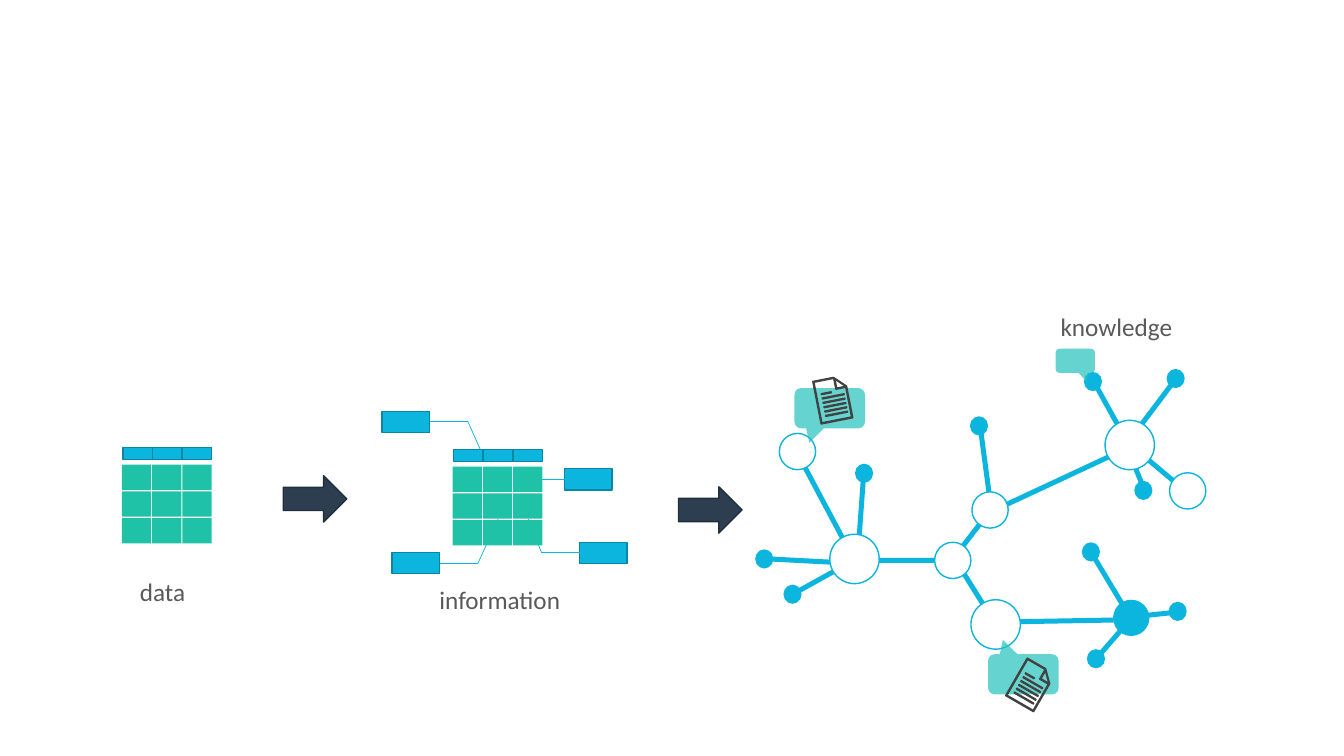
from math import cos, radians, sin

from lxml import etree
from pptx import Presentation
from pptx.dml.color import RGBColor
from pptx.enum.shapes import MSO_CONNECTOR, MSO_SHAPE
from pptx.enum.text import MSO_AUTO_SIZE
from pptx.oxml.ns import qn
from pptx.util import Inches, Pt

BLUE, DARK_BLUE, GREEN, TEAL = "0BB5DD", "0886A3", "1FC2A7", "24C2BD"
NAVY, DARK_NAVY, GREY, DARK_GREY = "2D3E50", "212E3B", "595959", "424242"
WHITE = "FFFFFF"


def paint(shape, fill, line=None):
    """Give a shape a flat fill and a 1 pt outline, or no outline."""
    shape.shadow.inherit = False
    shape.fill.solid()
    shape.fill.fore_color.rgb = RGBColor.from_string(fill)
    if line:
        shape.line.color.rgb = RGBColor.from_string(line)
        shape.line.width = Pt(1)
    else:
        shape.line.fill.background()


def add_painted(shapes, kind, left, top, width, height, fill, line=None, rotation=0):
    shape = shapes.add_shape(kind, Inches(left), Inches(top), Inches(width), Inches(height))
    shape.rotation = rotation
    paint(shape, fill, line)
    return shape


presentation = Presentation()
presentation.slide_width, presentation.slide_height = Inches(13.33), Inches(7.5)
slide = presentation.slides.add_slide(presentation.slide_layouts[6])

# Knowledge network: leaves, links, hubs and speech bubbles
network = slide.shapes.add_group_shape().shapes
add_painted(network, MSO_SHAPE.OVAL, 11.04, 5.95, 0.36, 0.36, BLUE)
leaves = [
    (9.62, 4.13), (10.75, 3.69), (11.57, 3.66), (11.25, 4.77), (10.73, 5.38),
    (11.59, 5.97), (10.78, 6.44), (7.77, 5.8), (7.49, 5.45), (8.48, 4.6),
]
for left, top in leaves:
    add_painted(network, MSO_SHAPE.OVAL, left, top, 0.18, 0.19, BLUE)

links = [  # left, top, length, rotation
    (8.2, 4.48, 1.22, 332), (8.51, 4.64, 1, 4.1), (8.9, 5.06, 1, 90),
    (10.52, 5.66, 1, 89), (10.44, 4.18, 1.2, 65), (9.75, 4.23, 0.8, 352.4),
    (10.97, 3.75, 0.6, 331), (9.6, 5.02, 0.6, 37.5), (9.61, 5.51, 0.6, 328),
    (10.99, 5.5, 0.6, 329), (11.44, 3.72, 0.6, 37), (11.06, 5.99, 0.6, 41),
    (8.1, 5.45, 0.6, 61), (8.08, 5.07, 1, 93), (11.41, 4.2, 0.8, 310),
    (11.39, 5.9, 0.4, 264), (11.26, 4.5, 0.4, 337.7),
]
for left, top, length, rotation in links:
    add_painted(network, MSO_SHAPE.RECTANGLE, left, top, 0.05, length, BLUE, rotation=rotation)

hubs = [
    (7.73, 4.3, 0.36), (10.96, 4.17, 0.49), (9.63, 5.95, 0.49), (8.23, 5.3, 0.49),
    (9.27, 5.38, 0.36), (9.64, 4.88, 0.36), (11.6, 4.69, 0.36),
]
for left, top, size in hubs:
    add_painted(network, MSO_SHAPE.OVAL, left, top, size, size, WHITE, BLUE)

bubbles = [  # left, top, width, height, tail direction across and down
    (7.88, 3.85, 0.7, 0.4, -1, 1),
    (9.8, 6.49, 0.7, 0.4, -1, -1),
    (10.47, 3.46, 0.39, 0.24, 1, 1),
]
for left, top, width, height, across, down in bubbles:
    bubble = add_painted(network, MSO_SHAPE.ROUNDED_RECTANGULAR_CALLOUT,
                         left, top, width, height, TEAL)
    bubble.adjustments[0] = 0.29 * across
    bubble.adjustments[1] = 0.86 * down
    color = bubble.fill._xPr.find(qn("a:solidFill"))[0]
    etree.SubElement(color, qn("a:alpha")).set("val", "70000")

# Arrows between the stages, and the stage names
for left, top in [(2.81, 4.72), (6.73, 4.83)]:
    add_painted(slide.shapes, MSO_SHAPE.RIGHT_ARROW, left, top, 0.63, 0.46, NAVY, DARK_NAVY)

stages = [
    ("knowledge", 10.42, 3.04, 1.32),
    ("data", 1.29, 5.67, 0.66),
    ("information", 4.26, 5.75, 1.41),
]
for name, left, top, width in stages:
    box = slide.shapes.add_textbox(Inches(left), Inches(top), Inches(width), Inches(0.4))
    frame = box.text_frame
    frame.word_wrap = False
    frame.auto_size = MSO_AUTO_SIZE.SHAPE_TO_FIT_TEXT
    paragraph = frame.paragraphs[0]
    paragraph.text = name
    for attribute, value in {"name": "Calibri", "size": Pt(18)}.items():
        setattr(paragraph.font, attribute, value)
    paragraph.font.color.rgb = RGBColor.from_string(GREY)

# Labels around the information table, each with its leader line
data = slide.shapes.add_group_shape().shapes
information = slide.shapes.add_group_shape().shapes
labels = [
    (5.6, 4.65, [(5.6, 4.76), (5.22, 4.76)]),
    (3.89, 5.48, [(4.36, 5.59), (4.74, 5.59), (4.94, 5.15)]),
    (5.75, 5.38, [(5.75, 5.48), (5.37, 5.48), (5.24, 5.15)]),
    (3.79, 4.08, [(4.26, 4.18), (4.64, 4.18), (4.79, 4.52)]),
]
for left, top, points in labels:
    add_painted(information, MSO_SHAPE.RECTANGLE, left, top, 0.47, 0.21, BLUE, DARK_BLUE)
    for start, end in zip(points, points[1:]):
        leader = information.add_connector(
            MSO_CONNECTOR.STRAIGHT, *[Inches(value) for value in start + end])
        leader.line.color.rgb = RGBColor.from_string(BLUE)
        leader.line.width = Pt(0.5)
        etree.SubElement(leader._element.spPr, qn("a:effectLst"))

# Small tables: three rows of cells under a header
for shapes, left, top in [(data, 1.21, 4.44), (information, 4.49, 4.46)]:
    for row in range(3):
        for column in range(3):
            add_painted(shapes, MSO_SHAPE.RECTANGLE, left + 0.3 * column,
                        top + 0.17 + 0.265 * row, 0.29, 0.25, GREEN)
    for column in range(3):
        add_painted(shapes, MSO_SHAPE.RECTANGLE, left + 0.01 + 0.295 * column, top,
                    0.29, 0.12, BLUE, DARK_BLUE)

# Tilted document icons: text lines, then a page with a folded corner
page_width, page_height = 0.32, 0.43
page_contours = [
    [(0, 0), (0, 0.43), (0.32, 0.43), (0.32, 0.11), (0.21, 0)],
    [(0.22, 0.02), (0.31, 0.11), (0.22, 0.11)],
    [(0.01, 0.42), (0.01, 0.01), (0.21, 0.01), (0.21, 0.12), (0.31, 0.12), (0.31, 0.42)],
]
for page_left, page_top, tilt in [(8.1, 3.75, 348.9), (10.06, 6.58, 30)]:
    icon = slide.shapes.add_group_shape().shapes
    cosine, sine = cos(radians(tilt)), sin(radians(tilt))
    for line_number in range(6):
        width = 0.22 if line_number else 0.1
        across = 0.06 + width / 2 - page_width / 2
        down = 0.14 + 0.044 * line_number - page_height / 2
        center_x = page_left + page_width / 2 + across * cosine - down * sine
        center_y = page_top + page_height / 2 + across * sine + down * cosine
        add_painted(icon, MSO_SHAPE.RECTANGLE, center_x - width / 2, center_y - 0.005,
                    width, 0.01, GREY, DARK_GREY, tilt)

    contours = [[(Inches(x), Inches(y)) for x, y in contour] for contour in page_contours]
    builder = icon.build_freeform(*contours[0][0])
    for contour in contours:
        builder.move_to(*contour[0])
        builder.add_line_segments(contour[1:], close=True)
    page = builder.convert_to_shape(Inches(page_left), Inches(page_top))
    page.rotation = tilt
    paint(page, GREY, DARK_GREY)

presentation.save("out.pptx")
